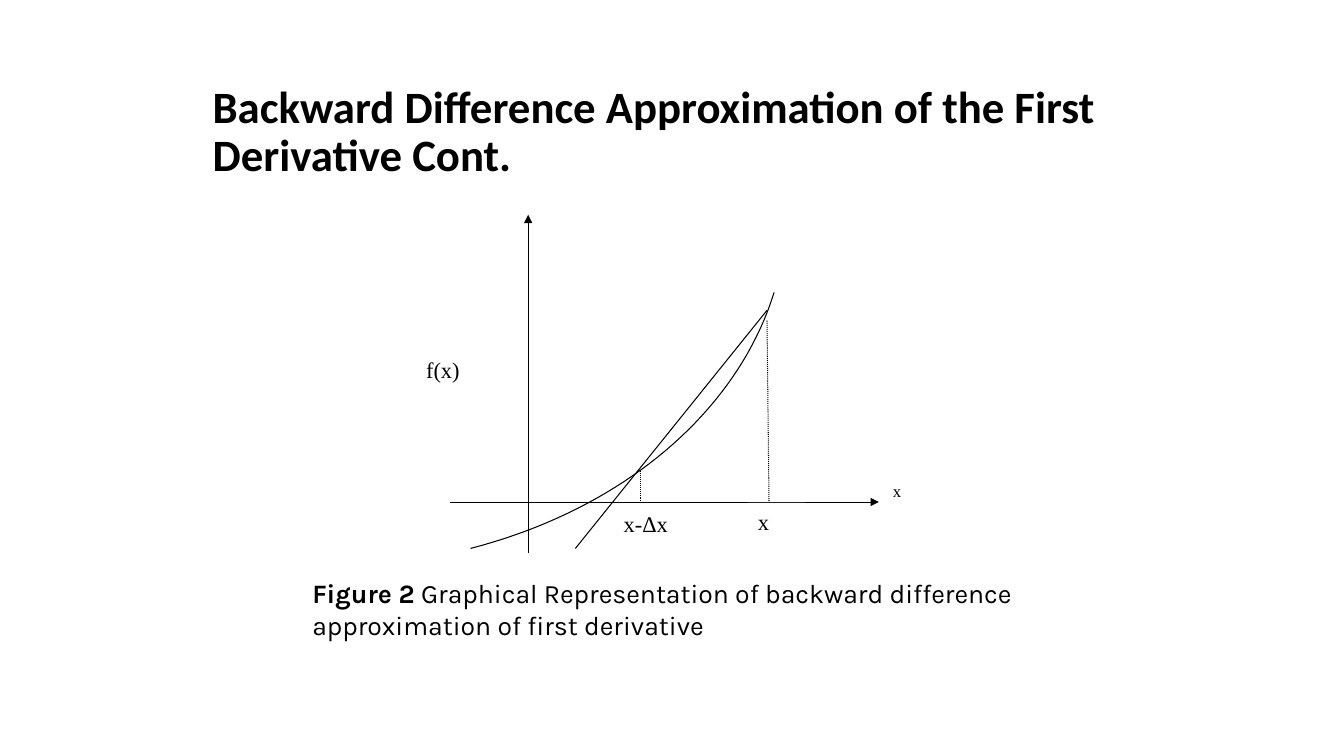
from dataclasses import dataclass

from lxml import etree
from pptx import Presentation
from pptx import util as u
from pptx.dml.color import RGBColor
from pptx.enum import dml, shapes, text
from pptx.oxml.ns import qn

COLORS = {"ink": "000000", "paper": "FFFFFF"}
Point = tuple[float, float]


@dataclass(frozen=True)
class Segment:
    start: Point
    end: Point
    dotted: bool = False
    arrow: bool = False


@dataclass(frozen=True)
class Label:
    wording: str
    left: float
    top: float
    width: float
    height: float
    size: float = 16


ORIGIN_X, ORIGIN_Y = 13.31, 12.65
SEGMENTS = [
    Segment((ORIGIN_X, 5.92), (ORIGIN_X, 5.41), arrow=True),
    Segment((21.67, ORIGIN_Y), (22.15, ORIGIN_Y), arrow=True),
    Segment((11.35, ORIGIN_Y), (21.82, ORIGIN_Y)),
    Segment((19.33, 8.08), (19.38, ORIGIN_Y), dotted=True),
    Segment((16.15, 11.86), (16.15, 12.6), dotted=True),
    Segment((ORIGIN_X, 5.84), (ORIGIN_X, 13.94)),
    Segment((19.33, 7.82), (14.5, 13.82)),
]
CURVE_CONTROLS = [(11.86, 13.82), (15.7, 12.83), (18.57, 10.39), (19.51, 7.37)]
CURVE_STEPS = 40
LABELS = [
    Label("x", 18.85, 12.67, 1.45, 1.3),
    Label("x-Δx", 15.47, 12.73, 2.41, 1.45),
    Label("x", 22.25, 11.99, 1.45, 1.32, size=12),
    Label("f(x)", 10.49, 8.86, 1.93, 1.5),
]


def color(name: str) -> RGBColor:
    return RGBColor.from_string(COLORS[name])


def style_run(run, font_name: str, size: float, bold: bool = False) -> None:
    run.font.name = font_name
    run.font.size = u.Pt(size)
    run.font.bold = bold
    run.font.color.rgb = color("ink")


def style_line(line) -> None:
    line.color.rgb = color("ink")
    line.width = u.Pt(0.75)


def draw_segment(slide, segment: Segment) -> None:
    ends = [u.Cm(value) for value in segment.start + segment.end]
    connector = slide.shapes.add_connector(shapes.MSO_CONNECTOR.STRAIGHT, *ends)
    style_line(connector.line)
    if segment.dotted:
        connector.line.dash_style = dml.MSO_LINE.ROUND_DOT
    properties = connector.element.spPr
    if segment.arrow:
        outline = properties.find(qn("a:ln"))
        etree.SubElement(outline, qn("a:tailEnd"), type="triangle")
    etree.SubElement(properties, qn("a:effectLst"))


def bezier_point(t: float) -> Point:
    weights = ((1 - t) ** 3, 3 * t * (1 - t) ** 2, 3 * t**2 * (1 - t), t**3)
    x, y = (
        sum(weight * value for weight, value in zip(weights, axis))
        for axis in zip(*CURVE_CONTROLS)
    )
    return x, y


def draw_curve(slide) -> None:
    points = [
        tuple(u.Cm(value) for value in bezier_point(step / CURVE_STEPS))
        for step in range(CURVE_STEPS + 1)
    ]
    builder = slide.shapes.build_freeform(*points[0])
    builder.add_line_segments(points[1:], close=False)
    function_curve = builder.convert_to_shape()
    function_curve.shadow.inherit = False
    function_curve.fill.background()
    style_line(function_curve.line)


def draw_label(slide, label: Label) -> None:
    bounds = map(u.Cm, (label.left, label.top, label.width, label.height))
    plate = slide.shapes.add_shape(shapes.MSO_SHAPE.RECTANGLE, *bounds)
    plate.shadow.inherit = False
    plate.fill.solid()
    plate.fill.fore_color.rgb = color("paper")
    plate.line.fill.background()
    frame = plate.text_frame
    frame.text = label.wording
    frame.vertical_anchor = text.MSO_ANCHOR.TOP
    frame.paragraphs[0].alignment = text.PP_ALIGN.LEFT
    style_run(frame.paragraphs[0].runs[0], "Times New Roman", label.size)


def add_frame(slide, left: float, top: float, width: float, height: float,
              anchor: text.MSO_ANCHOR):
    """Add a wrapping text box and return its text frame."""
    frame = slide.shapes.add_textbox(*map(u.Cm, (left, top, width, height))).text_frame
    frame.word_wrap = True
    frame.vertical_anchor = anchor
    return frame


def draw_caption(slide) -> None:
    frame = add_frame(slide, 7.62, 14.4, 20.75, 1.88, text.MSO_ANCHOR.MIDDLE)
    frame.auto_size = text.MSO_AUTO_SIZE.SHAPE_TO_FIT_TEXT
    caption = frame.paragraphs[0]
    caption.text = "Figure 2"
    caption.add_run().text = (
        " Graphical Representation of backward difference "
        "approximation of first derivative"
    )
    for run, bold in zip(caption.runs, (True, False)):
        style_run(run, "Karla", 19, bold)


def draw_title(slide) -> None:
    frame = add_frame(slide, 5.11, 1.02, 26.44, 3.68, text.MSO_ANCHOR.BOTTOM)
    frame.text = "Backward Difference Approximation of the First Derivative Cont."
    title = frame.paragraphs[0]
    title.line_spacing = 0.9
    style_run(title.runs[0], "Calibri", 32, bold=True)


def main() -> None:
    deck = Presentation()
    deck.slide_width, deck.slide_height = u.Cm(33.87), u.Cm(19.05)
    slide = deck.slides.add_slide(deck.slide_layouts[6])
    for segment in SEGMENTS:
        draw_segment(slide, segment)
    draw_curve(slide)
    for label in LABELS:
        draw_label(slide, label)
    draw_caption(slide)
    draw_title(slide)
    deck.save("out.pptx")


if __name__ == "__main__":
    main()
